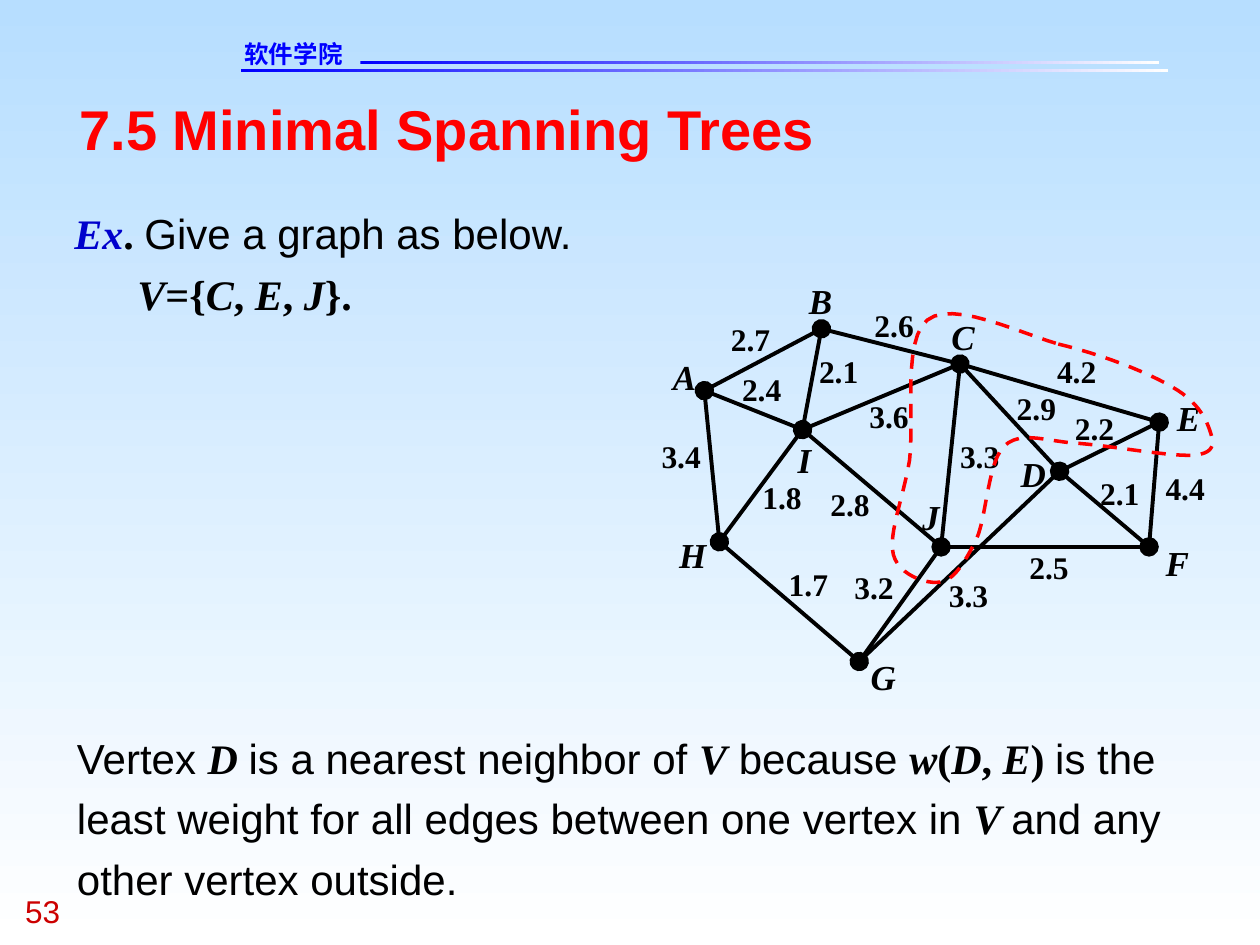
from lxml import etree
from pptx import Presentation
from pptx.dml.color import RGBColor
from pptx.enum import dml, shapes, text
from pptx.oxml import ns
from pptx.util import Pt

SANS, SERIF = "Arial", "Times New Roman"
PLAIN = dict(font=SANS)
BOLD = dict(font=SERIF, bold=True)
MATH = dict(font=SERIF, bold=True, italic=True)

# name: vertex x, y, label left, top, width
VERTICES = {
    "A": (402.5, 223.2, 384.5, 203, 13.5),
    "B": (469.4, 187.9, 462.2, 159.8, 13.5),
    "C": (548.6, 208, 543.6, 180, 13.5),
    "D": (605.5, 269.3, 583.2, 258.5, 14.4),
    "E": (662.4, 241.2, 672.5, 226.8, 13.5),
    "F": (656.6, 312.5, 666, 309.6, 13.5),
    "G": (491, 378, 497.5, 374.4, 14.4),
    "H": (411.1, 309.6, 388, 304.6, 15.6),
    "I": (458.6, 245.5, 455.8, 250.6, 7.8),
    "J": (537.8, 312.5, 527, 283, 10),
}
# edge, weight, label left, top
EDGES = [
    ("AB", "2.7", 417.6, 182.9), ("AI", "2.4", 424, 211.7),
    ("AH", "3.4", 378, 249.8), ("HI", "1.8", 435.6, 272.9),
    ("BI", "2.1", 468, 200.9), ("BC", "2.6", 499.7, 175),
    ("IC", "3.6", 496.8, 226.8), ("IJ", "2.8", 474.5, 277.2),
    ("HG", "1.7", 450.7, 322.6), ("GJ", "3.2", 488.2, 324.7),
    ("GD", "3.3", 542.2, 329), ("CJ", "3.3", 548.6, 249.8),
    ("JF", "2.5", 588.2, 313.2), ("CE", "4.2", 604, 200.9),
    ("CD", "2.9", 581, 222.5), ("DF", "2.1", 628.6, 270.7),
    ("EF", "4.4", 666, 267.8), ("ED", "2.2", 614.2, 234),
]
DOTTED_EDGES = {"ED", "JF", "BC", "AI", "HG"}  # together they mark every vertex once

# Bezier outline around C, E and J: start, then (control, control, end) triples
LOOP_START = (604.8, 196.6)
LOOP = [
    ((628.6, 202.3), (655.2, 212.4), (669.6, 221)),
    ((684, 229), (689, 239), (691.2, 245.5)),
    ((693.4, 252), (695.5, 258.5), (683.3, 260)),
    ((671, 261.4), (635.8, 254.9), (617, 253.4)),
    ((599, 252.7), (583.9, 245.5), (573.8, 254.9)),
    ((564.5, 264.2), (563.8, 295.2), (558, 308.2)),
    ((551.5, 321), (545, 332), (537.1, 332.6)),
    ((529.2, 334), (513.4, 328.3), (510.5, 316.8)),
    ((507.6, 304.6), (516.2, 285), (519.8, 262.8)),
    ((522.7, 240.5), (515.5, 194.4), (529.9, 182.9)),
    ((544.3, 171.4), (581.8, 190), LOOP_START),
]


def rgb(value):
    return RGBColor.from_string(value)


def set_gradient(fill, first, last, angle):
    fill.gradient()
    fill.gradient_angle = angle
    for stop, position, color in zip(fill.gradient_stops, (0, 1), (first, last)):
        stop.position = position
        stop.color.rgb = rgb(color)


def add_run(p, content, font=SANS, size=24, color="000000", bold=False,
            italic=False, east_asian=False):
    r = p.add_run()
    r.text = content
    f = r.font
    f.size, f.bold, f.italic, f.name = Pt(size), bold, italic, font
    f.color.rgb = rgb(color)
    if east_asian:
        ea = etree.SubElement(r._r.get_or_add_rPr(), ns.qn("a:ea"))
        ea.set("typeface", font)


def setup_frame(tf, wrap=True):
    tf.margin_left = tf.margin_top = tf.margin_right = tf.margin_bottom = 0
    tf.vertical_anchor = text.MSO_ANCHOR.TOP
    tf.word_wrap = wrap
    tf.auto_size = text.MSO_AUTO_SIZE.SHAPE_TO_FIT_TEXT


def add_label(parent, content, x, y, w, h, wrap=False, **style):
    tf = parent.add_textbox(Pt(x), Pt(y), Pt(w), Pt(h)).text_frame
    setup_frame(tf, wrap)
    add_run(tf.paragraphs[0], content, **style)


def add_body(s, x, y, w, h, paragraphs):
    """Each paragraph is a left indent and a list of (text, style) runs."""
    tf = s.shapes.add_textbox(Pt(x), Pt(y), Pt(w), Pt(h)).text_frame
    setup_frame(tf)
    for i, (indent, runs) in enumerate(paragraphs):
        p = tf.add_paragraph() if i else tf.paragraphs[0]
        p.line_spacing = 1.2
        if indent:
            p._p.get_or_add_pPr().set("marL", str(Pt(indent)))
        for content, style in runs:
            add_run(p, content, **style)


def add_title(s, content):
    sp = s.shapes.title
    sp.left, sp.top, sp.width, sp.height = Pt(45.4), Pt(54), Pt(630), Pt(38)
    setup_frame(sp.text_frame)
    p = sp.text_frame.paragraphs[0]
    p.alignment = text.PP_ALIGN.LEFT
    add_run(p, content, size=32, color="FF0000", bold=True)


def add_rule(s, x, y, w):
    sp = s.shapes.add_shape(shapes.MSO_SHAPE.RECTANGLE, Pt(x), Pt(y), Pt(w), Pt(1.6))
    sp.shadow.inherit = False
    sp.line.fill.background()
    set_gradient(sp.fill, "0000FF", "FFFFFF", 0)


def add_edge(parent, start, end, dotted):
    line = parent.add_connector(shapes.MSO_CONNECTOR.STRAIGHT, *map(Pt, start + end))
    line.line.color.rgb = rgb("000000")
    line.line.width = Pt(2.25)
    etree.SubElement(line._element.spPr, ns.qn("a:effectLst"))
    if dotted:
        ln = line.line._get_or_add_ln()
        for tag in ("a:headEnd", "a:tailEnd"):
            etree.SubElement(ln, ns.qn(tag), type="oval", w="lg", len="lg")


def add_graph(s):
    parent = s.shapes.add_group_shape().shapes
    for (a, b), weight, x, y in EDGES:
        add_edge(parent, VERTICES[a][:2], VERTICES[b][:2], a + b in DOTTED_EDGES)
        add_label(parent, weight, x, y, 22.5, 21.6, size=18, **BOLD)
    for name, (_, _, x, y, w) in VERTICES.items():
        add_label(parent, name, x, y, w, 24, size=20, **MATH)


def curve_points(start, segments, steps=12):
    for c1, c2, end in segments:
        for i in range(1, steps + 1):
            t = i / steps
            yield tuple(
                Pt((1 - t) ** 3 * a + 3 * (1 - t) ** 2 * t * b
                   + 3 * (1 - t) * t ** 2 * c + t ** 3 * d)
                for a, b, c, d in zip(start, c1, c2, end))
        start = end


def add_loop(s):
    builder = s.shapes.build_freeform(*map(Pt, LOOP_START))
    builder.add_line_segments(list(curve_points(LOOP_START, LOOP)), close=True)
    sp = builder.convert_to_shape()
    sp.shadow.inherit = False
    sp.fill.background()
    sp.line.color.rgb = rgb("FF0000")
    sp.line.width = Pt(2)
    sp.line.dash_style = dml.MSO_LINE.DASH


def main():
    prs = Presentation()
    prs.slide_width, prs.slide_height = Pt(720), Pt(540)
    s = prs.slides.add_slide(prs.slide_layouts[5])
    set_gradient(s.background.fill, "B7DEFF", "FFFFFF", 270)

    add_rule(s, 137.5, 39.5, 530)
    add_rule(s, 206, 35, 456.5)
    add_label(s.shapes, "软件学院", 139.7, 22.3, 104.4, 16.6, wrap=True,
              font="DejaVu Sans", size=14, color="0000FF", bold=True, east_asian=True)
    add_label(s.shapes, "53", 14.4, 509.8, 54, 21.6, wrap=True, size=18, color="CC0000")
    add_title(s, "7.5 Minimal Spanning Trees")

    add_body(s, 42.5, 113, 644.4, 69, [
        (0, [("Ex", dict(MATH, color="0000CC")), (". ", BOLD),
             ("Give a graph as below.", PLAIN)]),
        (36, [("V", MATH), ("={", BOLD), ("C", MATH), (", ", BOLD), ("E", MATH),
              (", ", BOLD), ("J", MATH), ("}.", BOLD)]),
    ])
    add_graph(s)
    add_loop(s)
    add_body(s, 44, 412.6, 644.4, 103.7, [
        (0, [("Vertex ", PLAIN), ("D ", MATH), ("is a nearest neighbor of ", PLAIN),
             ("V", MATH), (" because ", PLAIN), ("w", MATH), ("(", BOLD), ("D", MATH),
             (", ", BOLD), ("E", MATH), (") ", BOLD),
             ("is the least weight for all edges between one vertex in ", PLAIN),
             ("V ", MATH), ("and any other vertex outside.", PLAIN)]),
    ])
    prs.save("out.pptx")


if __name__ == "__main__":
    main()
